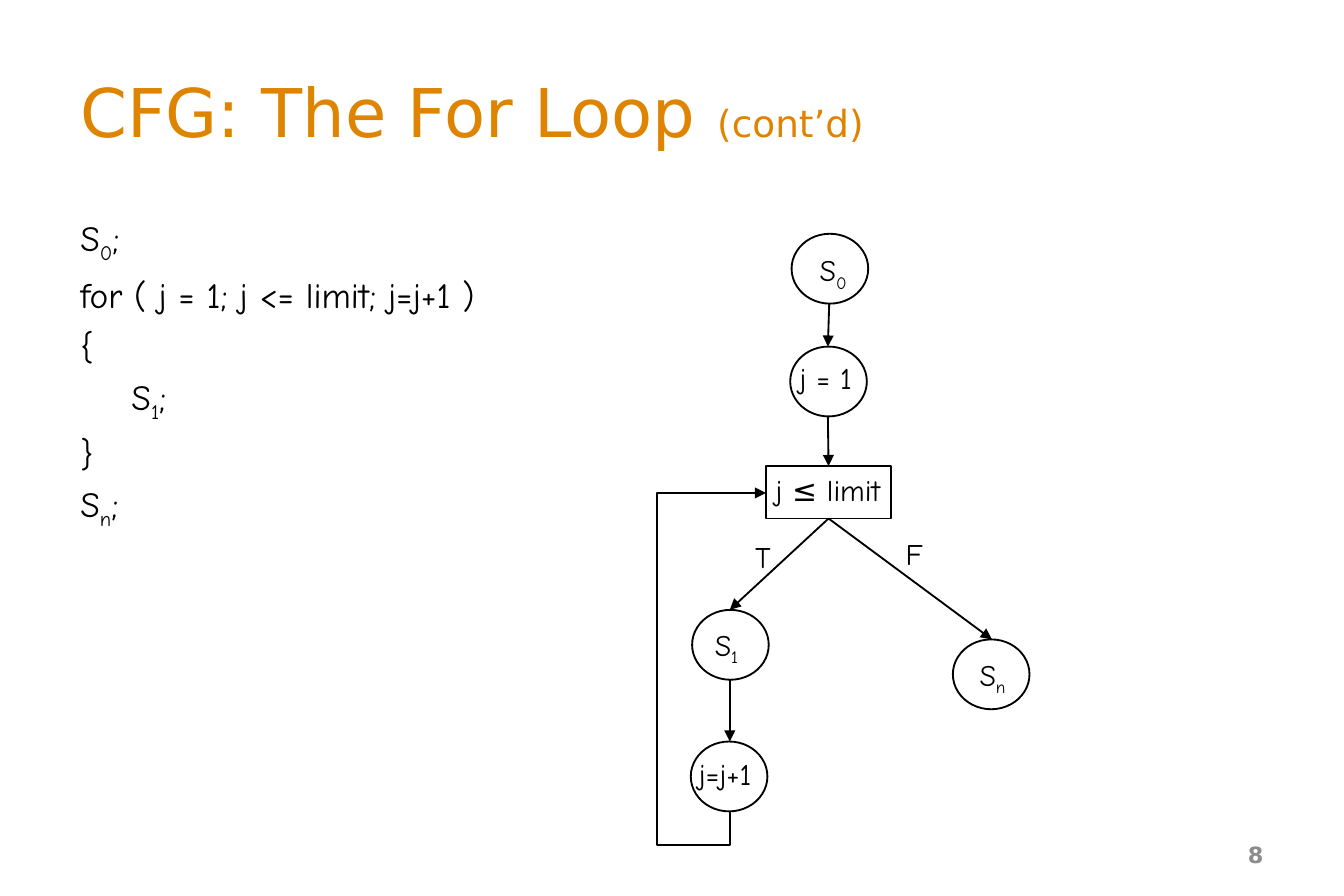
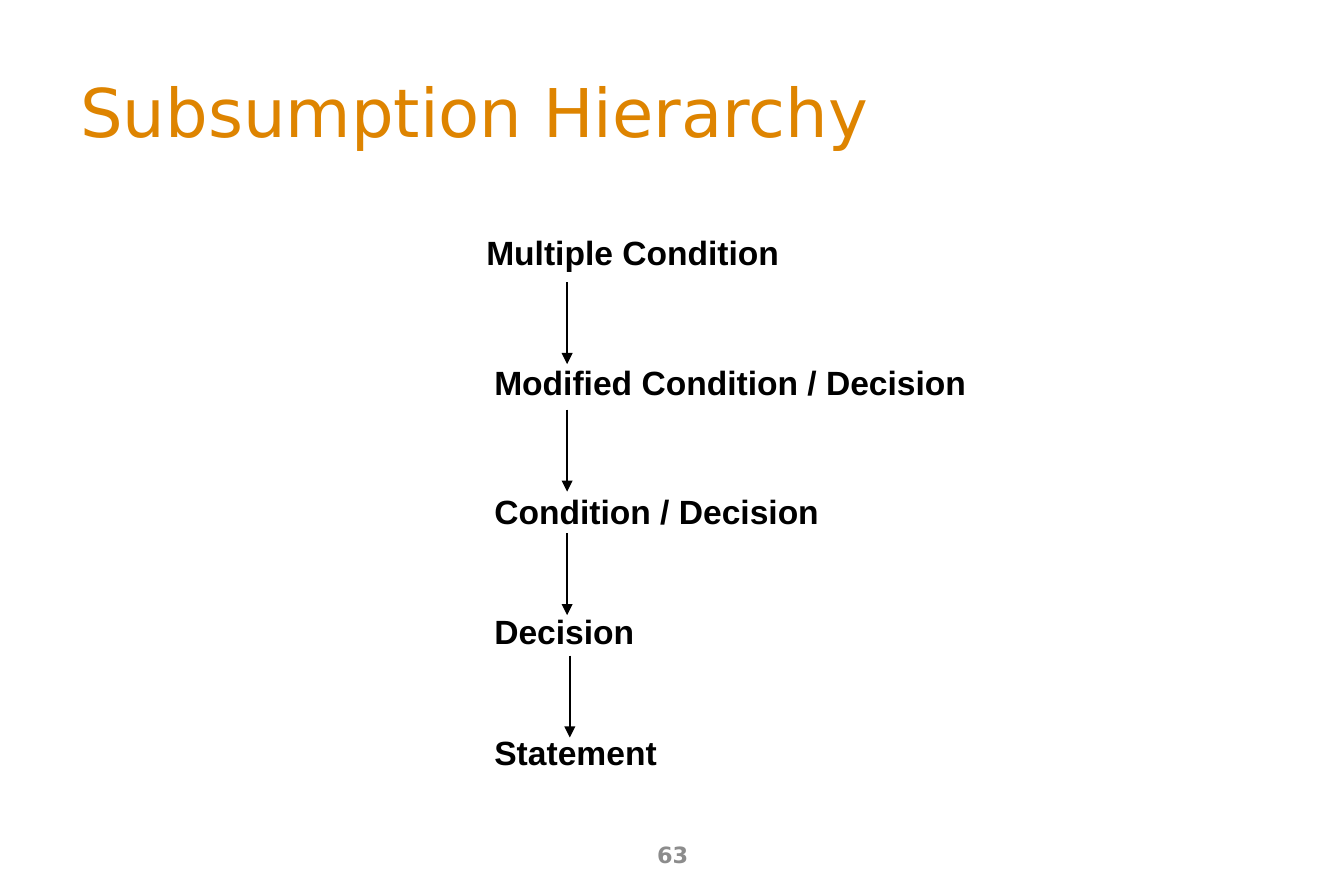
from lxml import etree
from pptx import Presentation
from pptx import util as u
from pptx.dml.color import RGBColor
from pptx.enum import shapes, text
from pptx.oxml import ns

ORANGE = RGBColor(0xDE, 0x84, 0x00)
BLACK = RGBColor(0, 0, 0)
GREY = RGBColor(0x8C, 0x8C, 0x8C)
HEADING_FONT, CODE_FONT, LEVEL_FONT = "DejaVu Sans", "Comic Neue", "Arial"


def add_text(slide, at, lines, size, font, color, bold=False):
    """Write one paragraph per line; a part between underscores is a subscript."""
    box = slide.shapes.add_textbox(*map(u.Inches, at))
    frame = box.text_frame
    frame.word_wrap = True
    for i, line in enumerate(lines):
        paragraph = frame.paragraphs[0] if i == 0 else frame.add_paragraph()
        for k, part in enumerate(line.split("_")):
            if not part:
                continue
            run = paragraph.add_run()
            run.text = part
            run.font.size = u.Pt(size)
            run.font.name = font
            run.font.bold = bold
            run.font.color.rgb = color
            if k % 2:
                run.font._element.set("baseline", "-25000")
    return frame


def add_arrow(slide, start, end, kind=shapes.MSO_CONNECTOR.STRAIGHT):
    arrow = slide.shapes.add_connector(kind, *map(u.Inches, (*start, *end)))
    arrow.line.color.rgb = BLACK
    arrow.line.width = u.Pt(1)
    etree.SubElement(arrow.line._get_or_add_ln(), ns.qn("a:tailEnd"), type="triangle")
    etree.SubElement(arrow._element.spPr, ns.qn("a:effectLst"))
    return arrow


prs = Presentation()
prs.slide_width, prs.slide_height = u.Inches(10), u.Inches(6.67)

# Shared title and page number
slides = []
for title, number, number_at, number_align in (
    ("CFG: The For Loop ", "8", (7.17, 6.18, 2.33, 0.36), text.PP_ALIGN.RIGHT),
    ("Subsumption Hierarchy", "63", (3.42, 6.18, 3.17, 0.36), text.PP_ALIGN.CENTER),
):
    slide = prs.slides.add_slide(prs.slide_layouts[6])
    heading = add_text(slide, (0.5, 0.27, 9, 1.11), [title], 36, HEADING_FONT, ORANGE)
    heading.vertical_anchor = text.MSO_ANCHOR.MIDDLE
    page = add_text(slide, number_at, [number], 12, HEADING_FONT, GREY, bold=True)
    page.vertical_anchor = text.MSO_ANCHOR.MIDDLE
    page.paragraphs[0].alignment = number_align
    slides.append((slide, heading))

# Slide 1: smaller title suffix
loop_slide, loop_heading = slides[0]
suffix = loop_heading.paragraphs[0].add_run()
suffix.text = "(cont’d)"
suffix.font.size = u.Pt(20)
suffix.font.name = HEADING_FONT
suffix.font.color.rgb = ORANGE

# Code on the left
code_lines = ["S_0_;", "for ( j = 1; j <= limit; j=j+1 )", "{", "\tS_1_;", "}", "S_n_;"]
code = add_text(loop_slide, (0.5, 1.56, 4.22, 4.37), code_lines, 19, CODE_FONT, BLACK)
for i, paragraph in enumerate(code.paragraphs):
    properties = paragraph._p.get_or_add_pPr()
    properties.set("marL", str(u.Inches(0.38)))
    properties.set("indent", str(-u.Inches(0.38)))
    if i:
        paragraph.space_before = u.Pt(4.5)

# Flow graph nodes
OVAL, BOX = shapes.MSO_SHAPE.OVAL, shapes.MSO_SHAPE.RECTANGLE
nodes = {}
for name, outline, at in (
    ("S0", OVAL, (5.89, 1.74, 0.57, 0.52)),
    ("init", OVAL, (5.88, 2.58, 0.57, 0.52)),
    ("test", BOX, (5.7, 3.47, 0.93, 0.39)),
    ("S1", OVAL, (5.15, 4.54, 0.57, 0.52)),
    ("step", OVAL, (5.14, 5.52, 0.57, 0.52)),
    ("Sn", OVAL, (7.09, 4.76, 0.57, 0.52)),
):
    node = loop_slide.shapes.add_shape(outline, *map(u.Inches, at))
    node.shadow.inherit = False
    node.fill.background()
    node.line.color.rgb = BLACK
    node.line.width = u.Pt(1)
    nodes[name] = node

# Node and branch labels
for label, left, top, width in (
    ("S_0", 6, 1.83, 1.02),
    ("j = 1", 5.85, 2.66, 1.1),
    ("j ≤ limit", 5.67, 3.49, 1.58),
    ("T", 5.52, 3.99, 0.53),
    ("F", 6.64, 3.97, 0.53),
    ("S_1", 5.22, 4.62, 0.83),
    ("j=j+1", 5.1, 5.61, 1.1),
    ("S_n", 7.19, 4.84, 0.83),
):
    frame = add_text(loop_slide, (left, top, width, 0.34), [label], 16, CODE_FONT, BLACK)
    frame.auto_size = text.MSO_AUTO_SIZE.SHAPE_TO_FIT_TEXT
    frame.paragraphs[0].line_spacing = 0.9

# Flow arrows
add_arrow(loop_slide, (6.17, 2.26), (6.16, 2.58))
add_arrow(loop_slide, (5.43, 5.06), (5.43, 5.52))
enter_test = add_arrow(loop_slide, (6.16, 3.1), (6.16, 3.47))
enter_test.end_connect(nodes["test"], 0)
for branch_end in ((5.43, 4.54), (7.38, 4.76)):
    branch = add_arrow(loop_slide, (6.16, 3.86), branch_end)
    branch.begin_connect(nodes["test"], 2)

# Back edge: down from the step, left, up and into the test
back_edge = add_arrow(loop_slide, (0, 0), (1, 1), shapes.MSO_CONNECTOR.ELBOW)
back_edge.begin_connect(nodes["step"], 2)
back_edge.end_connect(nodes["test"], 1)
# An ellipse has eight connection sites; the bottom one is number 4
back_edge._element.find(".//" + ns.qn("a:stCxn")).set("idx", "4")
frame_xml = back_edge._element.spPr.find(ns.qn("a:xfrm"))
for flag, value in (("rot", "5400000"), ("flipH", "1"), ("flipV", "1")):
    frame_xml.set(flag, value)
back_edge.left, back_edge.top = u.Inches(4.38), u.Inches(4.72)
back_edge.width, back_edge.height = u.Inches(2.37), u.Inches(0.27)
geometry = back_edge._element.spPr.find(ns.qn("a:prstGeom"))
geometry.set("prst", "bentConnector4")
bends = geometry.find(ns.qn("a:avLst"))
if bends is None:
    bends = etree.SubElement(geometry, ns.qn("a:avLst"))
for bend, value in (("adj1", -10500), ("adj2", -199400)):
    etree.SubElement(bends, ns.qn("a:gd"), name=bend, fmla=f"val {value}")

# Slide 2: coverage levels, strongest first
hierarchy_slide = slides[1][0]
for level, left, top, width in (
    ("Multiple Condition", 3.52, 1.71, 2.42),
    ("Modified Condition / Decision", 3.58, 2.68, 3.73),
    ("Condition / Decision", 3.58, 3.64, 2.69),
    ("Decision", 3.58, 4.53, 1.3),
    ("Statement", 3.58, 5.43, 1.52),
):
    frame = add_text(hierarchy_slide, (left, top, width, 0.37), [level], 18,
                     LEVEL_FONT, BLACK, bold=True)
    frame.auto_size = text.MSO_AUTO_SIZE.SHAPE_TO_FIT_TEXT
    frame.paragraphs[0].line_spacing = 0.9

# Each level subsumes the next
for x, top in ((4.22, 2.1), (4.22, 3.05), (4.22, 3.97), (4.24, 4.88)):
    add_arrow(hierarchy_slide, (x, top), (x, top + 0.61))

prs.save("out.pptx")
